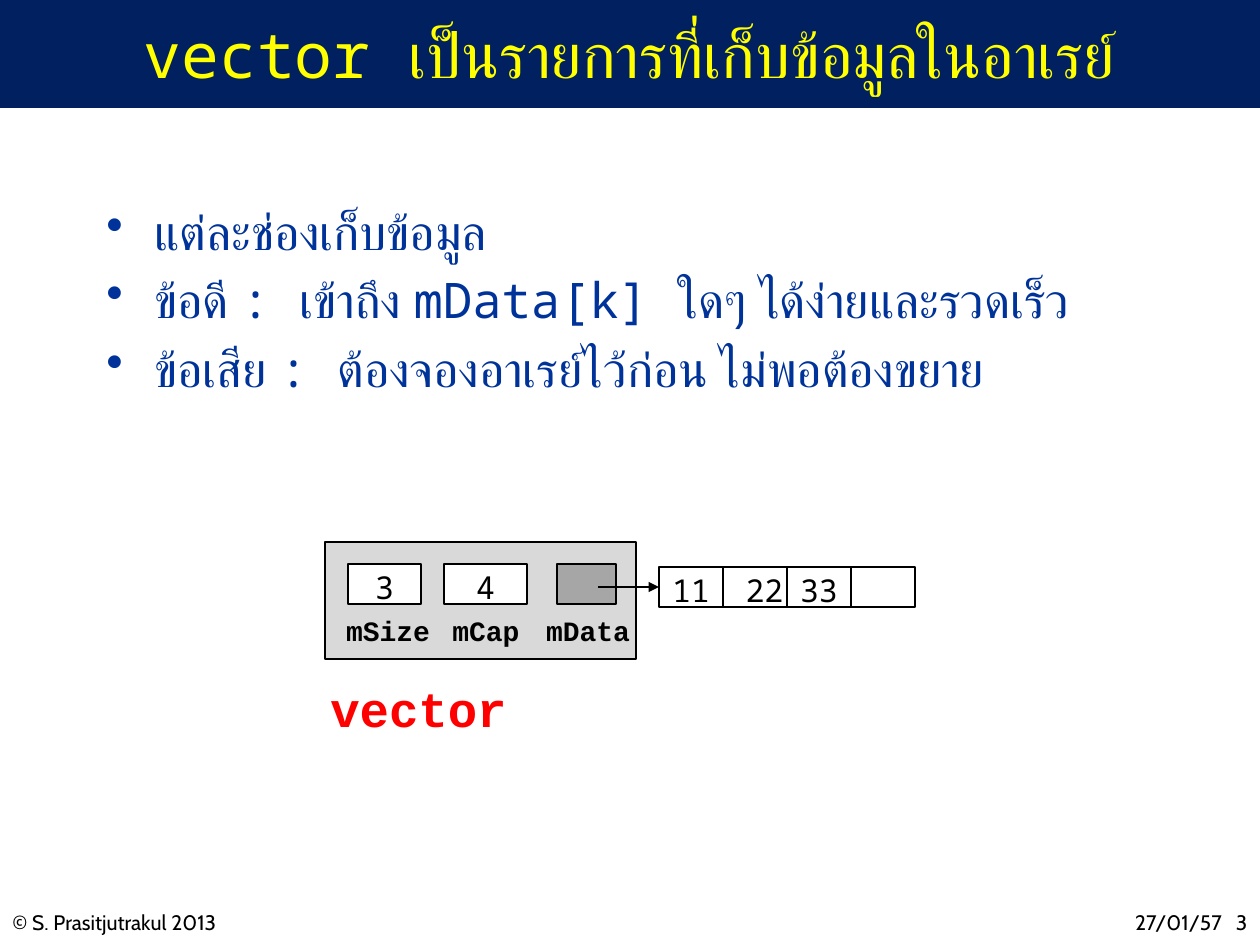
from dataclasses import dataclass

from lxml import etree
from pptx import Presentation
from pptx import util as u
from pptx.dml.color import RGBColor
from pptx.enum import shapes, text
from pptx.oxml import ns

SCALE = 914400 / 126
CENTER, RIGHT = text.PP_ALIGN.CENTER, text.PP_ALIGN.RIGHT
MIDDLE = text.MSO_ANCHOR.MIDDLE


@dataclass(frozen=True)
class Theme:
    """Colours, fonts and type sizes of the slide."""
    navy: str = "002060"
    yellow: str = "FFFF00"
    blue: str = "003399"
    red: str = "FF0000"
    black: str = "000000"
    white: str = "FFFFFF"
    panel: str = "D9D9D9"
    pointer: str = "A6A6A6"
    mono: str = "Noto Sans Mono"
    code: str = "Courier New"
    footer: str = "Cabin"
    title_size: int = 36
    body_size: int = 28
    value_size: int = 18
    label_size: int = 16
    footer_size: int = 12
    line_width: float = 0.75


T = Theme()
TITLE = dict(name=T.mono, size=T.title_size, color=T.yellow)
BODY = dict(name=T.mono, size=T.body_size, color=T.blue)
CAPTION = dict(name=T.code, size=T.body_size, color=T.red, bold=True)
VALUE = dict(name=T.mono, size=T.value_size, color=T.black)
LABEL = dict(name=T.code, size=T.label_size, color=T.black, bold=True)
FOOTER = dict(name=T.footer, size=T.footer_size, color=T.black)
FIELD_PARAGRAPH = dict(alignment=CENTER, line_spacing=1.15, space_after=u.Pt(10))
FIELD_FRAME = dict(vertical_anchor=MIDDLE, margin_left=0, margin_top=0,
                   margin_right=0, margin_bottom=0)


def px(n):
    """Turn px into EMU."""
    return u.Emu(round(n * SCALE))


def set_all(obj, values):
    """Set each named attribute of an object."""
    for name, value in values.items():
        setattr(obj, name, value)


def write(p, words, font):
    """Add one formatted run to a paragraph."""
    r = p.add_run()
    r.text = words
    values = dict(font, size=u.Pt(font["size"]))
    r.font.color.rgb = RGBColor.from_string(values.pop("color"))
    set_all(r.font, values)


def fill_frame(sp, words, font, paragraph, frame):
    """Put a single paragraph into a shape."""
    tf = sp.text_frame
    set_all(tf, dict(frame, word_wrap=True))
    set_all(tf.paragraphs[0], paragraph)
    write(tf.paragraphs[0], words, font)


def add_text(parent, box, words, font, paragraph, frame):
    """Add a text box with one paragraph."""
    sp = parent.add_textbox(*map(px, box))
    fill_frame(sp, words, font, paragraph, frame)


def add_box(parent, box, color, outlined=True, words=""):
    """Add a filled rectangle, with a centred value if given."""
    sp = parent.add_shape(shapes.MSO_SHAPE.RECTANGLE, *map(px, box))
    sp.shadow.inherit = False
    sp.fill.solid()
    sp.fill.fore_color.rgb = RGBColor.from_string(color)
    if outlined:
        sp.line.color.rgb = RGBColor.from_string(T.black)
        sp.line.width = u.Pt(T.line_width)
    else:
        sp.line.fill.background()
    if words:
        fill_frame(sp, words, VALUE, FIELD_PARAGRAPH, FIELD_FRAME)
    return sp


def add_bullets(parent, box, items):
    """Add a bulleted list."""
    sp = parent.add_textbox(*map(px, box))
    tf = sp.text_frame
    tf.word_wrap = True
    for i, item in enumerate(items):
        p = tf.add_paragraph() if i else tf.paragraphs[0]
        pPr = p._p.get_or_add_pPr()
        pPr.set("marL", str(px(48)))
        pPr.set("indent", str(px(-48)))
        etree.SubElement(pPr, ns.qn("a:buChar")).set("char", "•")
        p.space_before = u.Pt(5.6 if i else 0)
        write(p, item, BODY)


def add_arrow(parent, start, target):
    """Draw an arrow from a point to the left side of a rectangle."""
    x, y = map(px, start)
    cx = parent.add_connector(shapes.MSO_CONNECTOR.STRAIGHT, x, y, target.left, y)
    cx.end_connect(target, 1)
    cx.line.color.rgb = RGBColor.from_string(T.black)
    cx.line.width = u.Pt(T.line_width)
    etree.SubElement(cx.line._get_or_add_ln(), ns.qn("a:tailEnd")).set("type", "triangle")
    etree.SubElement(cx._element.spPr, ns.qn("a:effectLst"))


def add_vector_diagram(parent):
    """Draw the vector object and the array its pointer leads to."""
    group = parent.add_group_shape().shapes
    add_box(group, (325, 542, 311, 117), T.panel)
    fields = [
        ("mSize", (334, 108), (348, 73), T.white, "3"),
        ("mCap", (442, 88), (444, 83), T.white, "4"),
        ("mData", (533, 110), (557, 59), T.pointer, ""),
    ]
    for name, (label_x, label_w), (x, w), color, value in fields:
        add_box(group, (x, 564, w, 40), color, words=value)
        add_text(group, (label_x, 607, label_w, 42), name, LABEL,
                 FIELD_PARAGRAPH, FIELD_FRAME)
    cells = [add_box(group, (659 + 64 * i, 567, 64, 40), T.white, words=value)
             for i, value in enumerate(["11", " 22", "33", ""])]
    add_arrow(group, (598, 587), cells[0])


def main():
    """Build the slide and save it."""
    prs = Presentation()
    prs.slide_width, prs.slide_height = px(1260), px(945)
    parent = prs.slides.add_slide(prs.slide_layouts[6]).shapes

    add_box(parent, (0, 0, 1260, 108), T.navy, outlined=False)
    add_text(parent, (0, 903, 410, 38), "© S. Prasitjutrakul 2013", FOOTER, {}, {})
    # The gap before the page number is made of no-break spaces.
    add_text(parent, (987, 903, 273, 38), "27/01/57   3", FOOTER,
             dict(alignment=RIGHT), {})
    add_text(parent, (94, 1, 1071, 105), "vector เป็นรายการที่เก็บข้อมูลในอาเรย์",
             TITLE, dict(alignment=CENTER), dict(vertical_anchor=MIDDLE))
    add_bullets(parent, (94, 195, 1139, 310), [
        "แต่ละช่องเก็บข้อมูล",
        "ข้อดี : เข้าถึง mData[k] ใดๆ ได้ง่ายและรวดเร็ว",
        "ข้อเสีย : ต้องจองอาเรย์ไว้ก่อน ไม่พอต้องขยาย",
    ])
    add_vector_diagram(parent)
    add_text(parent, (318, 664, 230, 72), "vector", CAPTION, {},
             dict(margin_top=px(15), margin_bottom=0))
    prs.save("out.pptx")


if __name__ == "__main__":
    main()
